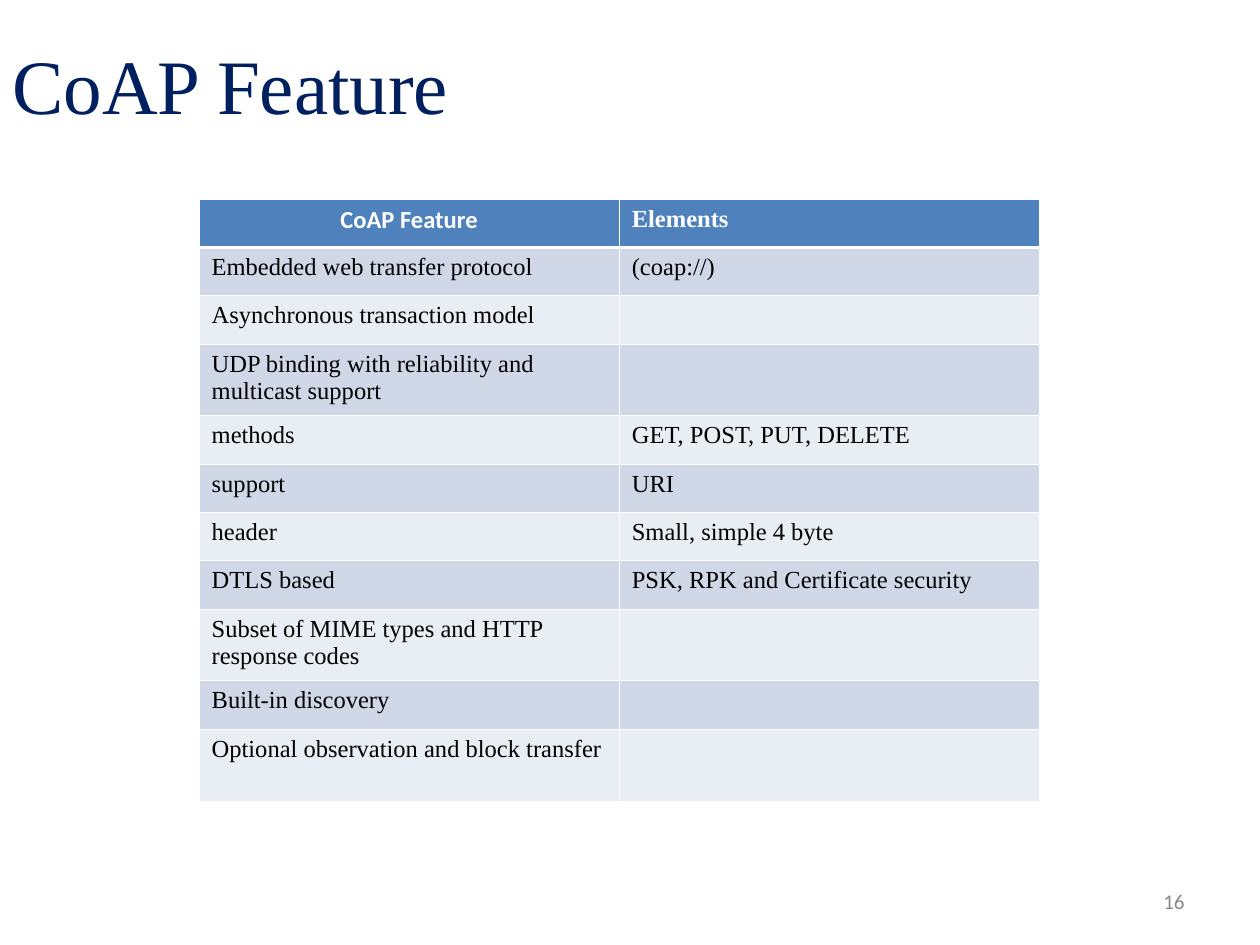
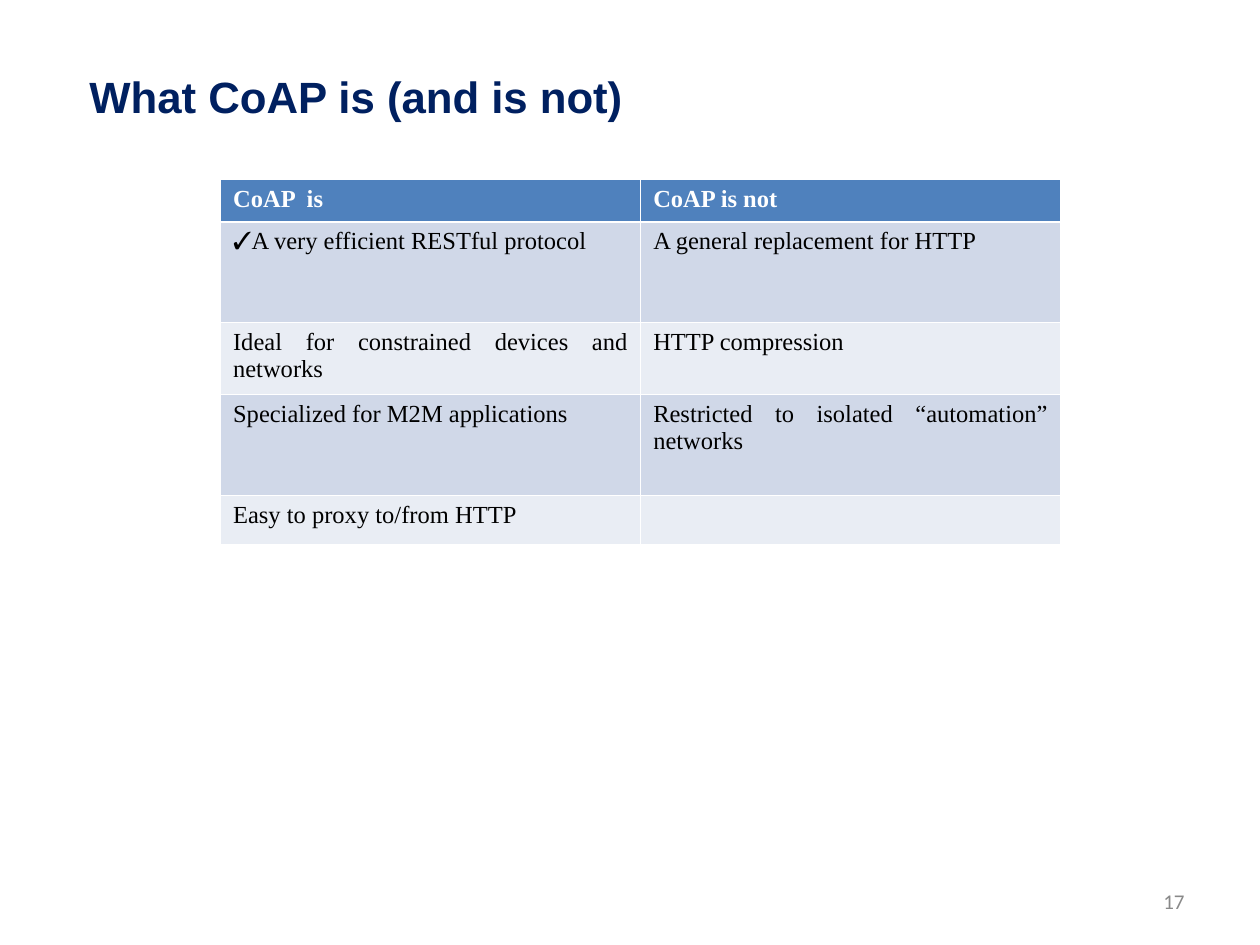
"""Build two slides about the features and the scope of CoAP."""
from dataclasses import dataclass

from lxml import etree
from pptx import Presentation
from pptx.dml.color import RGBColor
from pptx.enum.text import MSO_ANCHOR, MSO_AUTO_SIZE, PP_ALIGN
from pptx.oxml.ns import qn
from pptx.util import Inches, Pt

LEFT, CENTER, RIGHT, JUSTIFY = PP_ALIGN.LEFT, PP_ALIGN.CENTER, PP_ALIGN.RIGHT, PP_ALIGN.JUSTIFY
TOP, MIDDLE = MSO_ANCHOR.TOP, MSO_ANCHOR.MIDDLE
NO_AUTOSIZE = MSO_AUTO_SIZE.NONE

NAVY = RGBColor(0x00, 0x20, 0x60)
GRAY = RGBColor(0x89, 0x89, 0x89)
WHITE = RGBColor(0xFF, 0xFF, 0xFF)
BLACK = RGBColor(0x00, 0x00, 0x00)
HEADER_BLUE = RGBColor(0x4F, 0x81, 0xBD)
BANDS = (RGBColor(0xE9, 0xED, 0xF4), RGBColor(0xD0, 0xD8, 0xE8))

SERIF, SANS, BODY = "Times New Roman", "Arial", "Calibri"
TITLE_ONLY = 5
CELL_SIZE = 14
TABLE_WIDTH = 6.67
COLUMN_WIDTH = TABLE_WIDTH / 2
TALL_ROW = 0.57
SHORT_ROW = (4.78 - 3 * TALL_ROW) / 8
THIN, THICK = 0.45, 1.47


@dataclass(frozen=True)
class Title:
    """A slide title with its place and type style."""
    text: str
    box: tuple[float, float, float, float]
    size: float
    font: str
    bold: bool
    anchor: MSO_ANCHOR


@dataclass(frozen=True)
class Grid:
    """A two-column table: position, row heights, header style and wording."""
    left: float
    top: float
    heights: tuple[float, ...]
    rows: tuple[tuple[str, str], ...]
    align: PP_ALIGN
    first_font: str
    first_align: PP_ALIGN


@dataclass(frozen=True)
class Page:
    """One slide with its title, table and number."""
    title: Title
    grid: Grid
    number: int


PAGES = (
    Page(
        Title("CoAP Feature", (0, 0.33, 8, 0.67), 44, SERIF, False, MIDDLE),
        Grid(
            1.58, 1.58,
            tuple(TALL_ROW if i in (3, 8, 10) else SHORT_ROW for i in range(11)),
            (
                ("CoAP Feature", "Elements"),
                ("Embedded web transfer protocol", "(coap://)"),
                ("Asynchronous transaction model", ""),
                ("UDP binding with reliability and multicast support", ""),
                ("methods", "GET, POST, PUT, DELETE"),
                ("support", "URI"),
                ("header", "Small, simple 4 byte"),
                ("DTLS based", "PSK, RPK and Certificate security"),
                ("Subset of MIME types and HTTP response codes", ""),
                ("Built-in discovery", ""),
                ("Optional observation and block transfer", ""),
            ),
            LEFT, BODY, CENTER,
        ),
        16,
    ),
    Page(
        Title("What CoAP is (and is not)", (0.61, 0.5, 4.6, 0.52), 25, SANS, True, TOP),
        Grid(
            1.75, 1.42,
            (0.34, 0.8, TALL_ROW, 0.8, 0.39),
            (
                ("CoAP  is", "CoAP is not"),
                ("✓A very efficient RESTful protocol", "A general replacement for HTTP"),
                ("Ideal for constrained devices and networks", "HTTP compression"),
                ("Specialized for M2M applications", "Restricted to isolated “automation” networks"),
                ("Easy to proxy to/from HTTP", ""),
            ),
            JUSTIFY, SERIF, JUSTIFY,
        ),
        17,
    ),
)


def put_text(tf, text: str, *, size: float, font: str, color: RGBColor,
             bold: bool = False, align: PP_ALIGN = LEFT) -> None:
    """Write one formatted paragraph, or size the empty one."""
    p = tf.paragraphs[0]
    p.alignment = align
    if not text:
        etree.SubElement(p._p, qn("a:endParaRPr"), sz=str(size * 100))
        return
    r = p.add_run()
    r.text = text
    r.font.size, r.font.name, r.font.bold = Pt(size), font, bold
    r.font.color.rgb = color


def add_borders(cell, top: float, bottom: float) -> None:
    """Draw white lines on the four sides of a cell."""
    tc_pr = cell._tc.get_or_add_tcPr()
    for side, width in (("L", THIN), ("R", THIN), ("T", top), ("B", bottom)):
        ln = etree.SubElement(tc_pr, qn(f"a:ln{side}"), w=str(int(Pt(width))))
        fill = etree.SubElement(ln, qn("a:solidFill"))
        etree.SubElement(fill, qn("a:srgbClr"), val=str(WHITE))


def add_title(s, title: Title) -> None:
    """Place and format the title placeholder."""
    sp = s.shapes.title
    sp.left, sp.top, sp.width, sp.height = map(Inches, title.box)
    tf = sp.text_frame
    tf.auto_size, tf.word_wrap, tf.vertical_anchor = NO_AUTOSIZE, True, title.anchor
    put_text(tf, title.text, size=title.size, font=title.font, color=NAVY, bold=title.bold)


def add_number(s, number: int) -> None:
    """Add the slide number at the lower right."""
    sp = s.shapes.add_textbox(Inches(7.17), Inches(6.95), Inches(2.33), Inches(0.4))
    tf = sp.text_frame
    tf.word_wrap, tf.vertical_anchor = True, MIDDLE
    put_text(tf, str(number), size=12, font=BODY, color=GRAY, align=RIGHT)


def add_grid(s, grid: Grid) -> None:
    """Add the banded table with its header row."""
    table = s.shapes.add_table(
        len(grid.rows), 2, Inches(grid.left), Inches(grid.top),
        Inches(TABLE_WIDTH), Inches(sum(grid.heights))).table
    for column in table.columns:
        column.width = Inches(COLUMN_WIDTH)
    for i, (height, row) in enumerate(zip(grid.heights, grid.rows)):
        table.rows[i].height = Inches(height)
        header = i == 0
        for j, text in enumerate(row):
            cell = table.cell(i, j)
            first = header and j == 0
            add_borders(cell, THICK if i == 1 else THIN, THICK if header else THIN)
            cell.fill.solid()
            cell.fill.fore_color.rgb = HEADER_BLUE if header else BANDS[i % 2]
            put_text(cell.text_frame, text, size=CELL_SIZE, bold=header,
                     font=grid.first_font if first else SERIF,
                     color=WHITE if header else BLACK,
                     align=grid.first_align if first else grid.align)


def main() -> None:
    """Build and save the presentation."""
    prs = Presentation()
    prs.slide_width, prs.slide_height = Inches(10), Inches(7.5)
    for page in PAGES:
        s = prs.slides.add_slide(prs.slide_layouts[TITLE_ONLY])
        add_title(s, page.title)
        add_grid(s, page.grid)
        add_number(s, page.number)
    prs.save("out.pptx")


if __name__ == "__main__":
    main()
